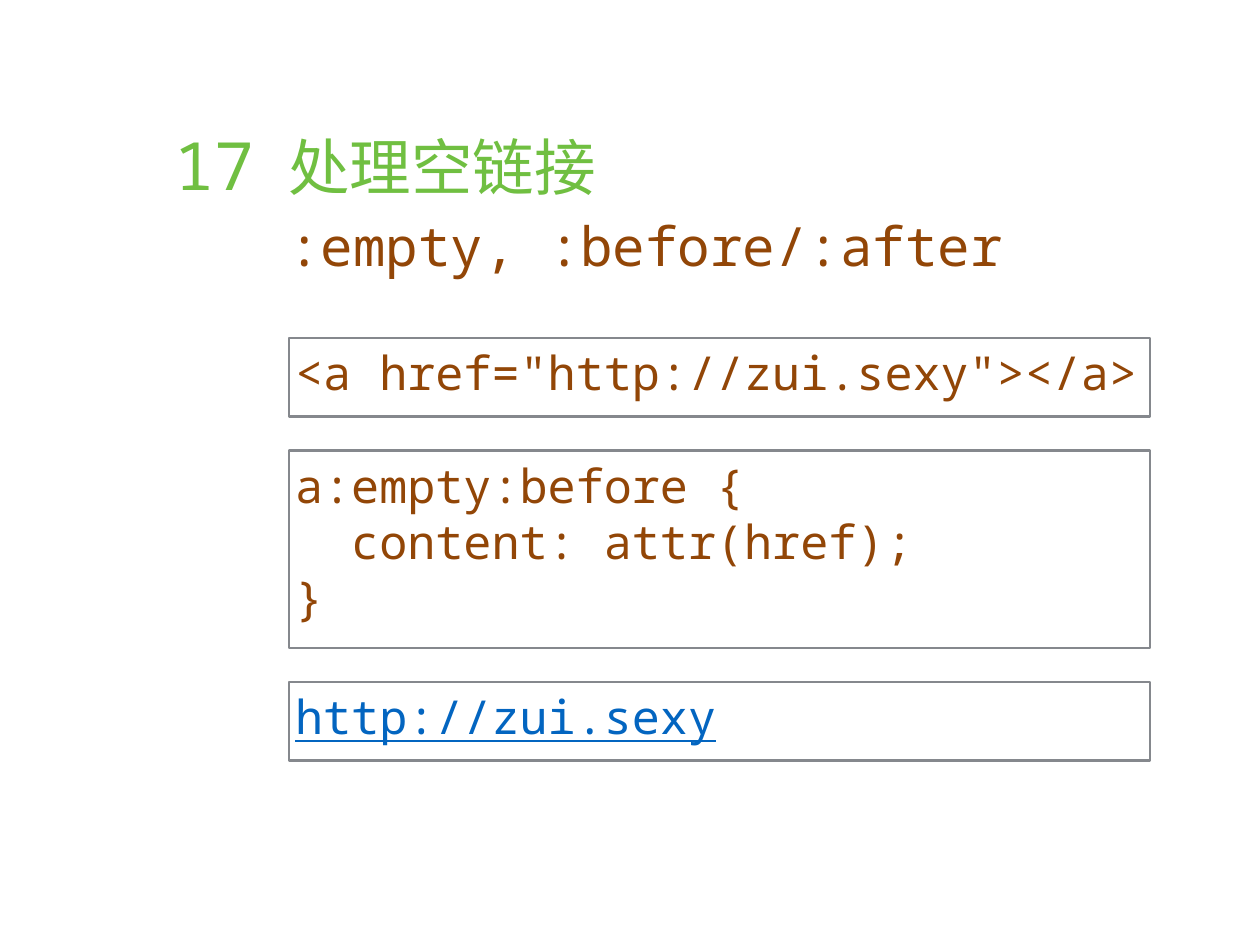
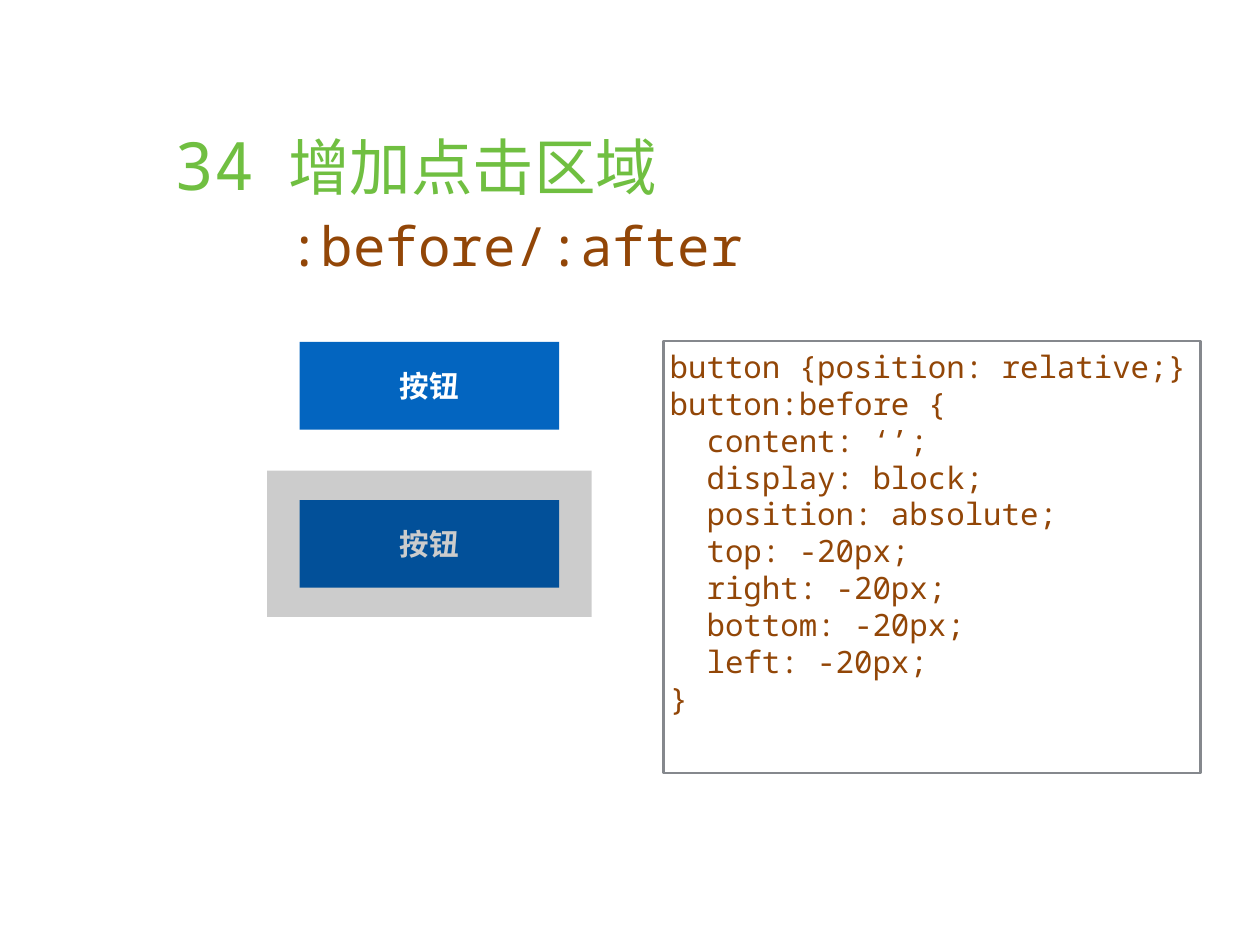
from dataclasses import dataclass

from lxml import etree
from pptx import Presentation
from pptx.dml.color import RGBColor
from pptx.enum.shapes import MSO_SHAPE
from pptx.enum.text import MSO_ANCHOR, PP_ALIGN
from pptx.oxml.ns import qn
from pptx.util import Cm, Pt

RECT = MSO_SHAPE.RECTANGLE
TOP, MIDDLE = MSO_ANCHOR.TOP, MSO_ANCHOR.MIDDLE
LEFT, CENTER, RIGHT = PP_ALIGN.LEFT, PP_ALIGN.CENTER, PP_ALIGN.RIGHT


@dataclass(frozen=True)
class Theme:
    green: RGBColor = RGBColor(0x70, 0xBF, 0x41)
    brown: RGBColor = RGBColor(0x92, 0x46, 0x07)
    blue: RGBColor = RGBColor(0x03, 0x65, 0xC0)
    grey: RGBColor = RGBColor(0x85, 0x88, 0x8D)
    white: RGBColor = RGBColor(0xFF, 0xFF, 0xFF)
    black: RGBColor = RGBColor(0x00, 0x00, 0x00)
    mono: str = "Noto Sans Mono"
    chinese: str = "Noto Sans CJK SC"
    label: str = "Arial"
    number_size: int = 54
    title_size: int = 50
    subtitle_size: int = 44
    code_size: int = 38
    small_code_size: int = 25
    button_size: int = 24


theme = Theme()


def write(frame, lines, font, size, color, align=LEFT):
    frame.text = "\n".join(lines)
    for paragraph in frame.paragraphs:
        paragraph.alignment = align
        paragraph.font.name = font
        paragraph.font.size = Pt(size)
        paragraph.font.color.rgb = color
        if font == theme.chinese:
            properties = paragraph._p.get_or_add_pPr().get_or_add_defRPr()
            etree.SubElement(properties, qn("a:ea"), typeface=font)


def add_box(slide, left, top, width, height, fill=None, anchor=TOP, inset=0.18):
    box = slide.shapes.add_shape(RECT, Cm(left), Cm(top), Cm(width), Cm(height))
    box.shadow.inherit = False
    if fill is None:
        box.fill.background()
        box.line.color.rgb = theme.grey
        box.line.width = Pt(2)
    else:
        box.fill.solid()
        box.fill.fore_color.rgb = fill
        box.line.fill.background()
    frame = box.text_frame
    frame.word_wrap = True
    frame.vertical_anchor = anchor
    frame.margin_left = frame.margin_right = Cm(inset)
    frame.margin_top = frame.margin_bottom = Cm(inset)
    return box


prs = Presentation()
prs.slide_width, prs.slide_height = Cm(36.12), Cm(27.08)

headings = [
    ("17", "处理空链接", ":empty, :before/:after"),
    ("34", "增加点击区域", ":before/:after"),
]
slides = []
for number, title, subtitle in headings:
    slide = prs.slides.add_slide(prs.slide_layouts[6])
    slides.append(slide)
    heading = slide.shapes.add_table(
        1, 2, Cm(3.28), Cm(3.28), Cm(29.6), Cm(20.52)).table
    heading.first_row = heading.horz_banding = False
    heading.columns[0].width, heading.columns[1].width = Cm(4.5), Cm(25.1)
    number_cell, title_cell = heading.cell(0, 0), heading.cell(0, 1)
    for cell in (number_cell, title_cell):
        cell.fill.background()
        cell.margin_left = cell.margin_right = Cm(0.48)
        cell.margin_top = cell.margin_bottom = Cm(0.13)
    write(number_cell.text_frame, [number], theme.mono, theme.number_size,
          theme.green, RIGHT)
    write(title_cell.text_frame, [title], theme.chinese, theme.title_size,
          theme.green)
    selector = title_cell.text_frame.add_paragraph()
    selector.text = subtitle
    selector.font.name = theme.mono
    selector.font.size = Pt(theme.subtitle_size)
    selector.font.color.rgb = theme.brown

link_slide, button_slide = slides

link_steps = [
    (2.26, ['<a href="http://zui.sexy"></a>'], theme.brown),
    (5.66, ["a:empty:before {", "  content: attr(href);", "}"], theme.brown),
    (2.26, ["http://zui.sexy"], theme.blue),
]
step_top, step_gap = 9.68, 0.97
for height, lines, color in link_steps:
    step = add_box(link_slide, 8.28, step_top, 24.69, height)
    write(step.text_frame, lines, theme.mono, theme.code_size, color)
    step_top += height + step_gap
step.text_frame.paragraphs[0].font.underline = True

button_left, button_width, button_height = 8.59, 7.44, 2.51
for button_top in (9.8, 14.33):
    button = add_box(button_slide, button_left, button_top, button_width,
                     button_height, theme.blue, MIDDLE, 0.15)
    write(button.text_frame, ["按钮"], theme.label, theme.button_size,
          theme.white, CENTER)
    button.text_frame.paragraphs[0].font.bold = True

extra_x, extra_y = 0.93, 0.84
click_area = add_box(
    button_slide, button_left - extra_x, button_top - extra_y,
    button_width + 2 * extra_x, button_height + 2 * extra_y, theme.black)
area_color = click_area.fill._xPr.find(qn("a:solidFill"))[0]
etree.SubElement(area_color, qn("a:alpha"), val="20000")

button_code = [
    "button {position: relative;}",
    "button:before {",
    "  content: ‘’;",
    "  display: block;",
    "  position: absolute;",
    "  top: -20px;",
    "  right: -20px;",
    "  bottom: -20px;",
    "  left: -20px;",
    "}",
]
code = add_box(button_slide, 19.02, 9.78, 15.39, 12.37)
write(code.text_frame, button_code, theme.mono, theme.small_code_size, theme.brown)

prs.save("out.pptx")
